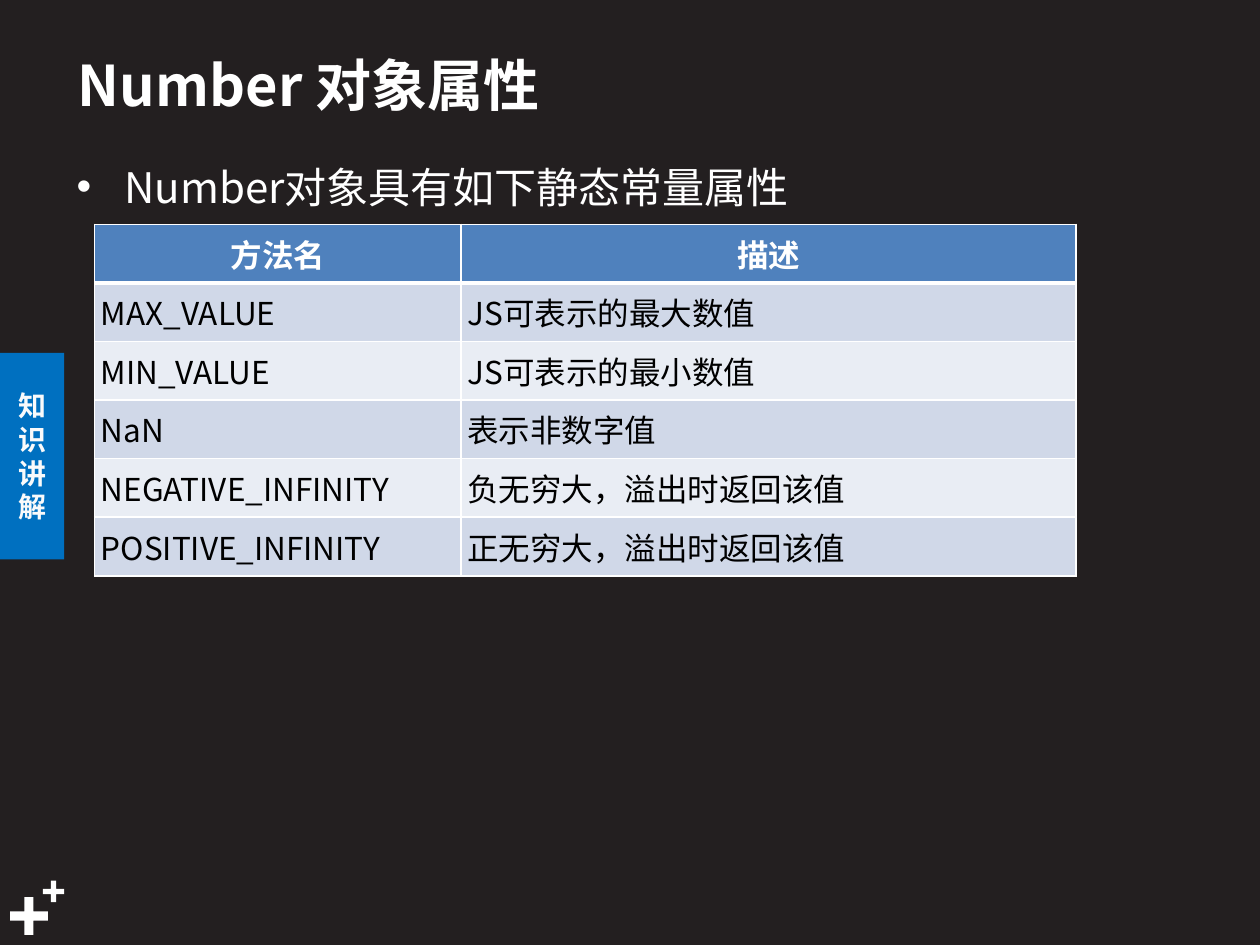
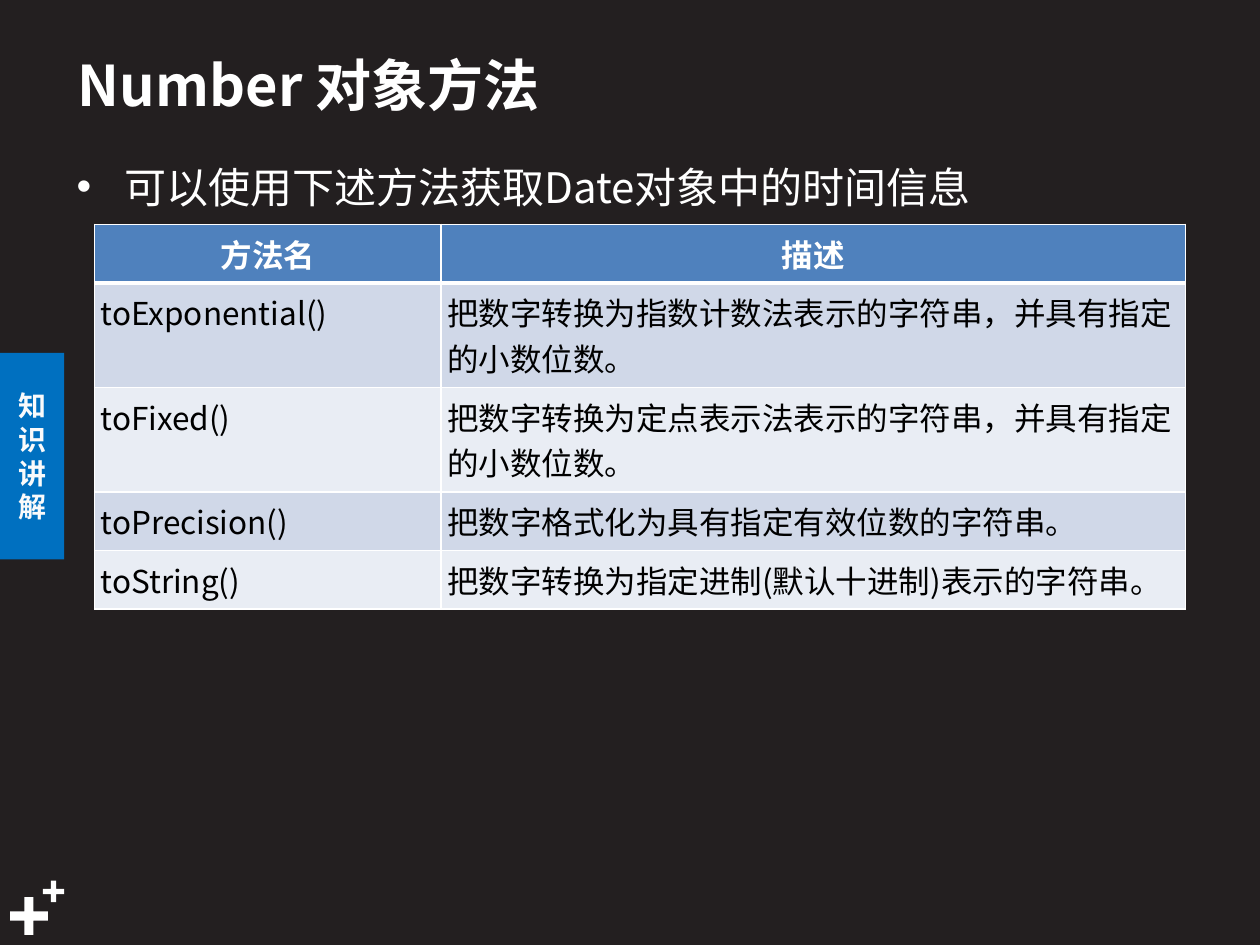
from dataclasses import dataclass
from math import ceil

from lxml import etree
from pptx import Presentation
from pptx.dml.color import RGBColor
from pptx.enum import shapes, text
from pptx.oxml.ns import qn
from pptx.util import Inches, Pt


@dataclass(frozen=True)
class Theme:
    font: str = "Noto Sans CJK SC"
    background: str = "231F20"
    white: str = "FFFFFF"
    black: str = "000000"
    tab: str = "0070C0"
    tab_text: str = "F9FAFB"
    header: str = "4F81BD"
    bands: tuple = ("D0D8E8", "E9EDF4")
    title_size: int = 32
    body_size: int = 24
    table_size: int = 18
    tab_size: int = 16


THEME = Theme()
SECTION = "知识讲解"
HEADINGS = ("方法名", "描述")
PLUS_SIGNS = [(0.08, 7.12, 0.3), (0.34, 6.99, 0.17)]
TABLE_LEFT, TABLE_TOP, CELL_MARGIN = 0.75, 1.78, 0.05
LINE_FACTOR = 1.46

SLIDES = [
    {
        "title": "Number 对象属性",
        "lead": "Number对象具有如下静态常量属性",
        "columns": (2.91, 4.88),
        "rows": [
            ("MAX_VALUE", "JS可表示的最大数值"),
            ("MIN_VALUE", "JS可表示的最小数值"),
            ("NaN", "表示非数字值"),
            ("NEGATIVE_INFINITY", "负无穷大，溢出时返回该值"),
            ("POSITIVE_INFINITY", "正无穷大，溢出时返回该值"),
        ],
    },
    {
        "title": "Number 对象方法",
        "lead": "可以使用下述方法获取Date对象中的时间信息",
        "columns": (2.75, 5.91),
        "rows": [
            ("toExponential()", "把数字转换为指数计数法表示的字符串，并具有指定的小数位数。"),
            ("toFixed()", "把数字转换为定点表示法表示的字符串，并具有指定的小数位数。"),
            ("toPrecision()", "把数字格式化为具有指定有效位数的字符串。"),
            ("toString()", "把数字转换为指定进制(默认十进制)表示的字符串。"),
        ],
    },
]


def paint(fill, color):
    fill.solid()
    fill.fore_color.rgb = RGBColor.from_string(color)


def write(frame, content, size, color, bold=False, align=text.PP_ALIGN.LEFT):
    frame.text = content
    paragraph = frame.paragraphs[0]
    paragraph.alignment = align
    for run in paragraph.runs:
        run.font.name = THEME.font
        run.font.size = Pt(size)
        run.font.bold = bold
        run.font.color.rgb = RGBColor.from_string(color)
        east_asian = etree.SubElement(run.font._element, qn("a:ea"))
        east_asian.set("typeface", THEME.font)
    return paragraph


def add_preset(slide, kind, box, color):
    shape = slide.shapes.add_shape(kind, *map(Inches, box))
    shape.shadow.inherit = False
    paint(shape.fill, color)
    shape.line.fill.background()
    return shape


def add_frame(slide, box):
    frame = slide.shapes.add_textbox(*map(Inches, box)).text_frame
    frame.word_wrap = True
    return frame


def add_decoration(slide):
    paint(slide.background.fill, THEME.background)
    for left, top, side in PLUS_SIGNS:
        plus = add_preset(slide, shapes.MSO_SHAPE.CROSS, (left, top, side, side), THEME.white)
        plus.adjustments[0] = 0.378
    tab = add_preset(slide, shapes.MSO_SHAPE.RECTANGLE, (0, 2.8, 0.51, 1.64), THEME.tab)
    tab.text_frame.word_wrap = True
    tab.text_frame.vertical_anchor = text.MSO_ANCHOR.MIDDLE
    paragraph = write(tab.text_frame, SECTION, THEME.tab_size, THEME.tab_text, True, text.PP_ALIGN.CENTER)
    paragraph.line_spacing = Pt(THEME.tab_size * 1.2)


def add_title(slide, content):
    frame = add_frame(slide, (0.52, 0.28, 7.4, 0.78))
    frame.vertical_anchor = text.MSO_ANCHOR.MIDDLE
    write(frame, content, THEME.title_size, THEME.white, True)


def add_lead(slide, content):
    frame = add_frame(slide, (0.51, 1.15, 8.82, 0.54))
    paragraph = write(frame, content, THEME.body_size, THEME.white)
    paragraph.line_spacing = 1.2
    paragraph.space_before = Pt(THEME.body_size * 0.2)
    properties = paragraph._p.get_or_add_pPr()
    properties.set("marL", str(Inches(0.38)))
    properties.set("indent", str(-Inches(0.38)))
    etree.SubElement(properties, qn("a:buFont")).set("typeface", "Arial")
    etree.SubElement(properties, qn("a:buChar")).set("char", "•")


def add_borders(cell, widths):
    properties = cell._tc.get_or_add_tcPr()
    for position, (side, width) in enumerate(widths.items()):
        line = etree.Element(qn(f"a:{side}"), w=str(Pt(width)))
        fill = etree.SubElement(line, qn("a:solidFill"))
        etree.SubElement(fill, qn("a:srgbClr")).set("val", THEME.white)
        properties.insert(position, line)


def count_lines(value, width):
    characters = sum(0.5 if character.isascii() else 1 for character in value)
    return ceil(characters * THEME.table_size / 72 / (width - 2 * CELL_MARGIN))


def row_height(values, columns):
    lines = max(map(count_lines, values, columns))
    return lines * THEME.table_size * LINE_FACTOR / 72 + 2 * CELL_MARGIN


def add_table(slide, columns, rows):
    grid = [HEADINGS, *rows]
    heights = [row_height(values, columns) for values in grid]
    table = slide.shapes.add_table(
        len(grid), len(columns), Inches(TABLE_LEFT), Inches(TABLE_TOP),
        Inches(sum(columns)), Inches(sum(heights)),
    ).table
    for column, width in zip(table.columns, columns):
        column.width = Inches(width)
    for row_index, values in enumerate(grid):
        table.rows[row_index].height = Inches(heights[row_index])
        is_header = row_index == 0
        for column_index, value in enumerate(values):
            cell = table.cell(row_index, column_index)
            if is_header:
                write(cell.text_frame, value, THEME.table_size, THEME.white, True, text.PP_ALIGN.CENTER)
                paint(cell.fill, THEME.header)
            else:
                write(cell.text_frame, value, THEME.table_size, THEME.black)
                paint(cell.fill, THEME.bands[(row_index - 1) % 2])
                cell.margin_left = cell.margin_right = Inches(CELL_MARGIN)
            top = 3 if row_index == 1 else 1
            bottom = 3 if is_header else 1
            add_borders(cell, {"lnL": 1, "lnR": 1, "lnT": top, "lnB": bottom})


presentation = Presentation()
presentation.slide_width = Inches(10)
presentation.slide_height = Inches(7.5)
for content in SLIDES:
    slide = presentation.slides.add_slide(presentation.slide_layouts[6])
    add_decoration(slide)
    add_title(slide, content["title"])
    add_lead(slide, content["lead"])
    add_table(slide, content["columns"], content["rows"])
presentation.save("out.pptx")
